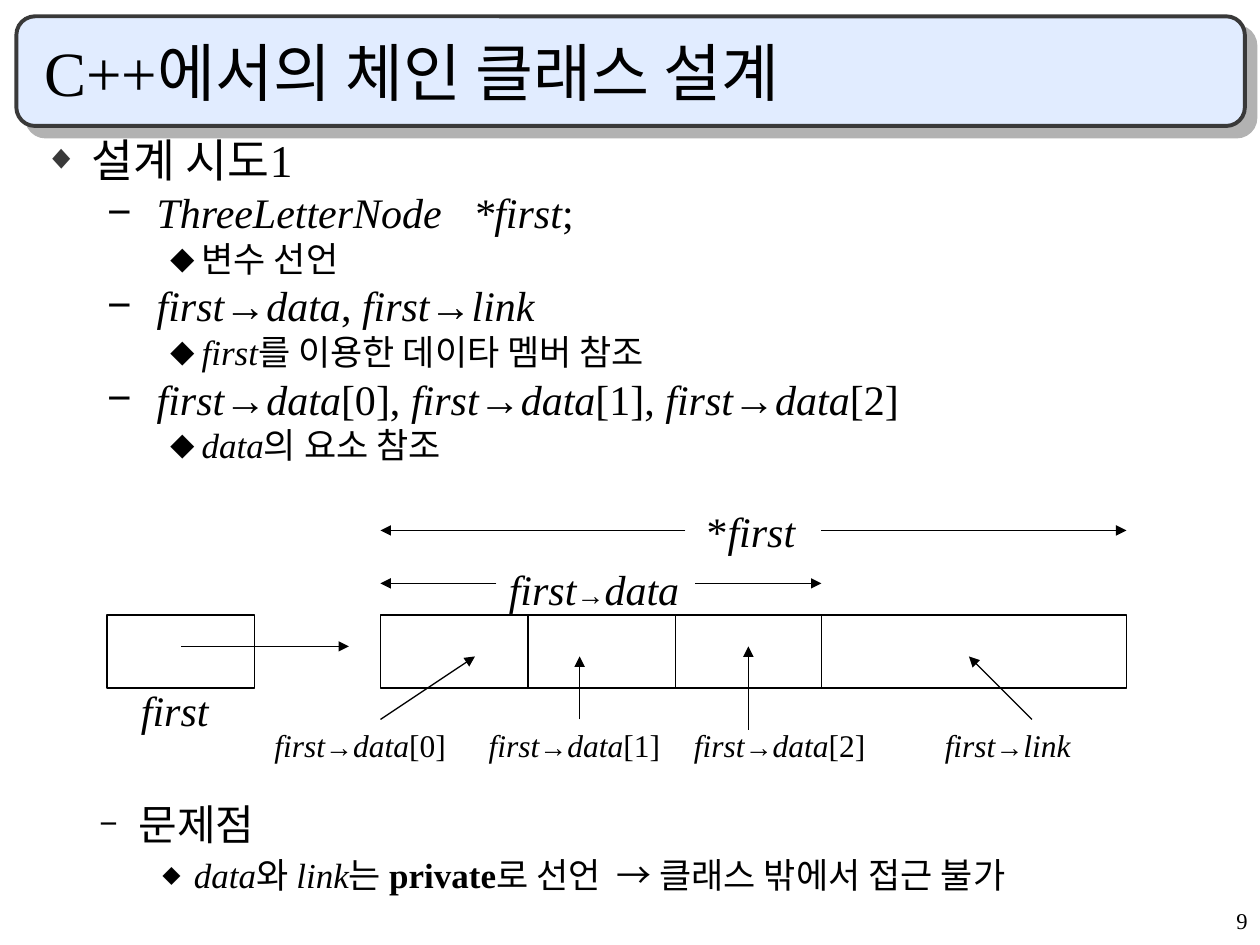
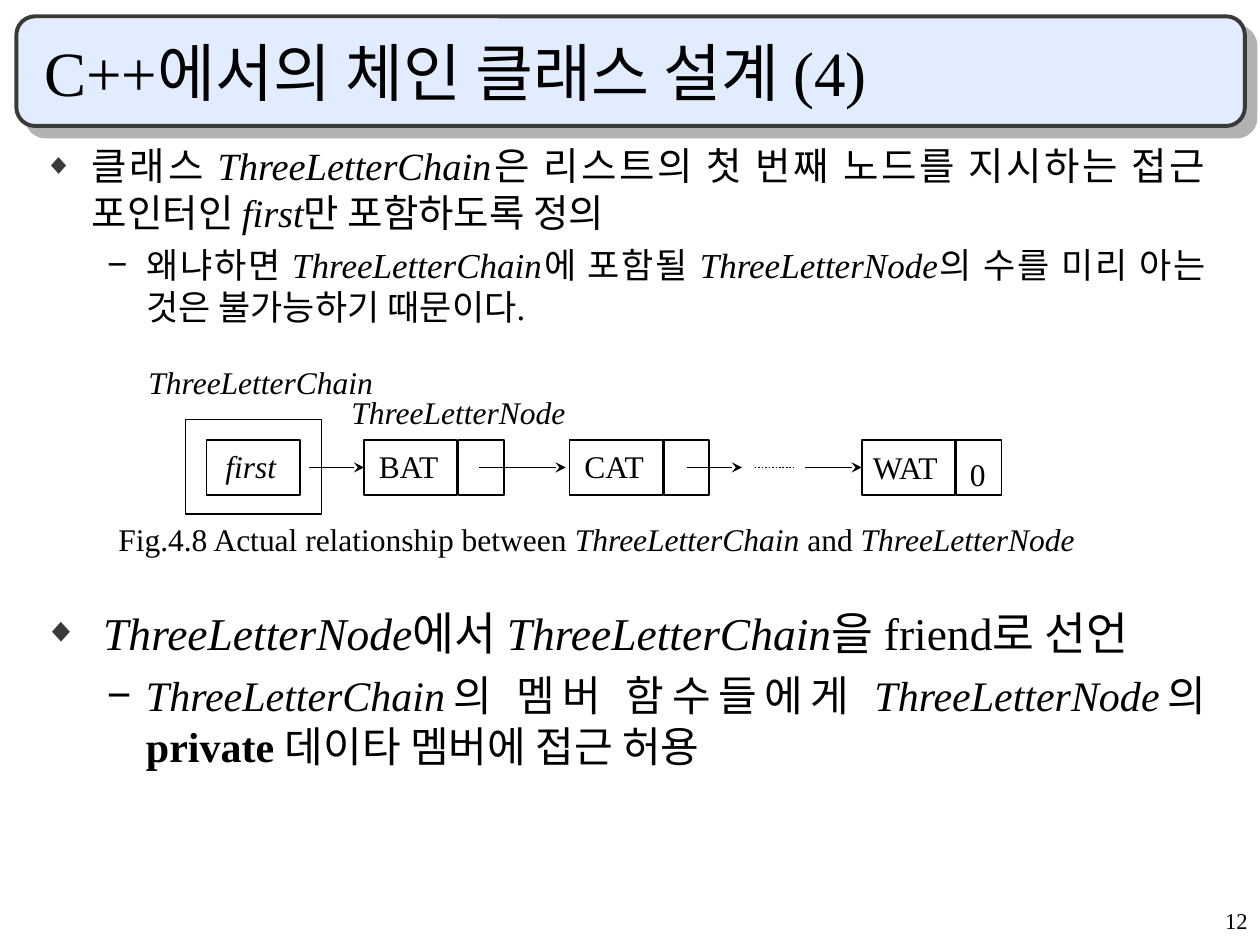
from lxml import etree
from pptx import Presentation
from pptx.dml.color import RGBColor
from pptx.enum.dml import MSO_LINE
from pptx.enum.shapes import MSO_CONNECTOR, MSO_SHAPE
from pptx.enum.text import MSO_ANCHOR, MSO_AUTO_SIZE, PP_ALIGN
from pptx.oxml.ns import qn
from pptx.util import Pt

PX = 9144
FONT = "Times New Roman"
BULLET_FONT = "Arial"
BLACK = RGBColor(0x00, 0x00, 0x00)
WHITE = RGBColor(0xFF, 0xFF, 0xFF)
CHARCOAL = RGBColor(0x39, 0x39, 0x39)
PALE_BLUE = RGBColor(0xE1, 0xEC, 0xFF)
SHADOW_GRAY = RGBColor(0xB2, 0xB2, 0xB2)

LEFT, RIGHT, JUSTIFY = PP_ALIGN.LEFT, PP_ALIGN.RIGHT, PP_ALIGN.JUSTIFY
BOTTOM = MSO_ANCHOR.BOTTOM
NO_FIT, GROW = MSO_AUTO_SIZE.NONE, MSO_AUTO_SIZE.SHAPE_TO_FIT_TEXT
RECTANGLE, ROUNDED = MSO_SHAPE.RECTANGLE, MSO_SHAPE.ROUNDED_RECTANGLE
STRAIGHT = MSO_CONNECTOR.STRAIGHT
DOTTED = MSO_LINE.ROUND_DOT

BULLETS = [(38, 38, "◆", CHARCOAL), (81, 31, "−", BLACK), (125, 25, "⬥", BLACK)]


def write(frame, text, size, level=None, bullet_size=100, align=LEFT,
          spacing=1.0, before=0, arrow_size=None):
    """~ toggles italic and ^ toggles bold."""
    para = frame.add_paragraph() if frame.text else frame.paragraphs[0]
    para.alignment = align
    para.line_spacing = spacing
    para.space_before = Pt(before)
    if level is not None:
        indent, hanging, mark, color = BULLETS[level]
        para.level = level
        props = para._p.get_or_add_pPr()
        props.set("marL", str(indent * PX))
        props.set("indent", str(-hanging * PX))
        tint = etree.SubElement(props, qn("a:buClr"))
        etree.SubElement(tint, qn("a:srgbClr"), val=str(color))
        etree.SubElement(props, qn("a:buSzPct"), val=str(bullet_size * 1000))
        etree.SubElement(props, qn("a:buFont"), typeface=BULLET_FONT)
        etree.SubElement(props, qn("a:buChar"), char=mark)
    bold = False
    for number, part in enumerate(text.split("~")):
        for position, piece in enumerate(part.split("^")):
            if position:
                bold = not bold
            if piece:
                span = para.add_run()
                span.text = piece
                span.font.name = FONT
                span.font.size = Pt(arrow_size if arrow_size and piece == "→" else size)
                span.font.italic = number % 2 == 1
                span.font.bold = bold
                span.font.color.rgb = BLACK


deck = Presentation()
deck.slide_width = 1000 * PX
deck.slide_height = 750 * PX
layout = deck.slide_layouts.get_by_name("Title and Content")
pages = []

for title, number, body_height in [
    ("C++에서의 체인 클래스 설계", "9", 290),
    ("C++에서의 체인 클래스 설계 (4)", "12", 157),
]:
    page = deck.slides.add_slide(layout)
    heading, body = page.placeholders
    for box, top, height in [(heading, 25, 67), (body, 108, body_height)]:
        box.left, box.top = 25 * PX, top * PX
        box.width, box.height = 942 * PX, height * PX
        box.text_frame.word_wrap = True
        box.text_frame.auto_size = NO_FIT
    heading.text_frame.vertical_anchor = BOTTOM
    write(heading.text_frame, title, 36)
    footer = page.shapes.add_textbox(792 * PX, 717 * PX, 208 * PX, 33 * PX)
    footer.text_frame.word_wrap = True
    write(footer.text_frame, number, 12.9, align=RIGHT, spacing=0.9, before=8.8)
    pages.append(page)

attempt, chain = pages

band = attempt.shapes.add_shape(ROUNDED, 13 * PX, 13 * PX, 975 * PX, 87 * PX)
band.adjustments[0] = 0.17
band.fill.solid()
band.fill.fore_color.rgb = PALE_BLUE
band.line.color.rgb = CHARCOAL
band.line.width = Pt(2.25)
band.shadow.inherit = False
effects = band.element.spPr.find(qn("a:effectLst"))
shadow = etree.SubElement(effects, qn("a:outerShdw"), blurRad="0",
                          dist=str(Pt(8.5)), dir="2700000", algn="ctr", rotWithShape="0")
etree.SubElement(shadow, qn("a:srgbClr"), val=str(SHADOW_GRAY))
band.element.nvSpPr.cNvPr.set("id", "20")
deck.slide_master.shapes.element.insert(2, band.element)

problem = attempt.shapes.add_textbox(19 * PX, 633 * PX, 942 * PX, 86 * PX)
friend = chain.shapes.add_textbox(25 * PX, 475 * PX, 942 * PX, 158 * PX)

lists = [
    (attempt.placeholders[1], 0.8, 100, [
        (0, 26, "설계 시도1"),
        (1, 24, " ~ThreeLetterNode   *first~;"),
        (2, 20, "변수 선언"),
        (1, 24, " ~first→data~, ~first→link~"),
        (2, 20, "~first~를 이용한 데이타 멤버 참조"),
        (1, 24, " ~first~→~data~[0], ~first~→~data~[1], ~first~→~data~[2]"),
        (2, 20, "~data~의 요소 참조"),
    ]),
    (problem, 0.9, 75, [
        (1, 24, "문제점"),
        (2, 20, "~data~와 ~link~는 ^private^로 선언  → 클래스 밖에서 접근 불가"),
    ]),
    (chain.placeholders[1], 1.0, 100, [
        (0, 22, "클래스 ~ThreeLetterChain~은 리스트의 첫 번째 노드를 지시하는 접근 포인터인 "
                "~first~만 포함하도록 정의"),
        (1, 20, "왜냐하면 ~ThreeLetterChain~에 포함될 ~ThreeLetterNode~의 수를 미리 "
                "아는 것은 불가능하기 때문이다."),
    ]),
    (friend, 1.0, 100, [
        (0, 26, " ~ThreeLetterNode~에서 ~ThreeLetterChain~을 friend로 선언"),
        (1, 24, "~ThreeLetterChain~의 멤버 함수들에게 ~ThreeLetterNode~의 "
                "^private ^데이타 멤버에 접근 허용"),
    ]),
]
for box, spacing, bullet_size, items in lists:
    box.text_frame.word_wrap = True
    for level, size, text in items:
        write(box.text_frame, text, size, level=level, align=JUSTIFY, spacing=spacing,
              before=size / 4, bullet_size=75 if level == 0 else bullet_size)

memory_cells = [(85, 488, 117, 58, 0.75)]
memory_cells += [(302 + 117 * index, 488, 117, 58, 0.75) for index in range(3)]
memory_cells += [(652, 488, 242, 58, 0.75)]
memory_labels = [
    (551, 396, 96, 50, 24, "*~first~"),
    (394, 442, 155, 50, 24, "~first^→^data~"),
    (102, 538, 74, 50, 24, "~first~"),
    (740, 571, 120, 40, 18, "~first~^→^~link~"),
]
memory_labels += [(left, 571, 156, 40, 18, f"~first~^→^~data~[{index}]")
                  for index, left in enumerate((208, 378, 541))]
memory_lines = [
    (144, 513, 277, 513), (302, 571, 377, 521), (460, 571, 460, 521),
    (594, 579, 594, 513), (819, 571, 769, 521), (394, 463, 302, 463),
    (552, 463, 652, 463), (544, 421, 302, 421), (652, 421, 894, 421),
]

node_cells = [(147, 333, 108, 75, 0.75), (164, 349, 74, 44, 1)]
for left in (289, 452, 684):
    node_cells += [(left, 349, 74, 44, 1), (left + 75, 349, 36, 44, 1)]
node_labels = [
    (169, 350, 61, 40, 18, "~first~"),
    (291, 350, 70, 40, 18, "BAT"),
    (454, 350, 70, 40, 18, "CAT"),
    (683, 351, 77, 40, 18, "WAT"),
    (760, 356, 33, 40, 18, "0"),
    (108, 283, 199, 40, 18, "~ThreeLetterChain~"),
    (269, 307, 191, 40, 18, "~ThreeLetterNode~"),
    (84, 408, 782, 40, 18,
     "Fig.4.8 Actual relationship between ~ThreeLetterChain~ and ~ThreeLetterNode~"),
]
node_lines = [(start, 371, end, 371) for start, end in
              [(245, 289), (380, 449), (545, 589), (639, 684), (599, 630)]]
ellipsis = node_lines[-1]

for page, cells, labels, lines, fill, weight, head in [
    (attempt, memory_cells, memory_labels, memory_lines, WHITE, 0.75, "triangle"),
    (chain, node_cells, node_labels, node_lines, None, 1, "stealth"),
]:
    targets = {}
    for left, top, width, height, border in cells:
        cell = page.shapes.add_shape(RECTANGLE, left * PX, top * PX, width * PX, height * PX)
        cell.shadow.inherit = False
        if fill is None:
            cell.fill.background()
        else:
            cell.fill.solid()
            cell.fill.fore_color.rgb = fill
        cell.line.color.rgb = BLACK
        cell.line.width = Pt(border)
        targets[left, top + height // 2] = cell

    for left, top, width, height, size, text in labels:
        label = page.shapes.add_textbox(left * PX, top * PX, width * PX, height * PX)
        label.text_frame.word_wrap = False
        label.text_frame.auto_size = GROW
        write(label.text_frame, text, size, arrow_size=16)

    for line in lines:
        connector = page.shapes.add_connector(STRAIGHT, *[value * PX for value in line])
        connector.line.color.rgb = BLACK
        connector.line.width = Pt(weight)
        if line == ellipsis:
            connector.line.dash_style = DOTTED
        else:
            stroke = connector.element.spPr.find(qn("a:ln"))
            etree.SubElement(stroke, qn("a:tailEnd"), type=head)
        etree.SubElement(connector.element.spPr, qn("a:effectLst"))
        if line[2:] in targets:
            connector.end_connect(targets[line[2:]], 1)

deck.save("out.pptx")
